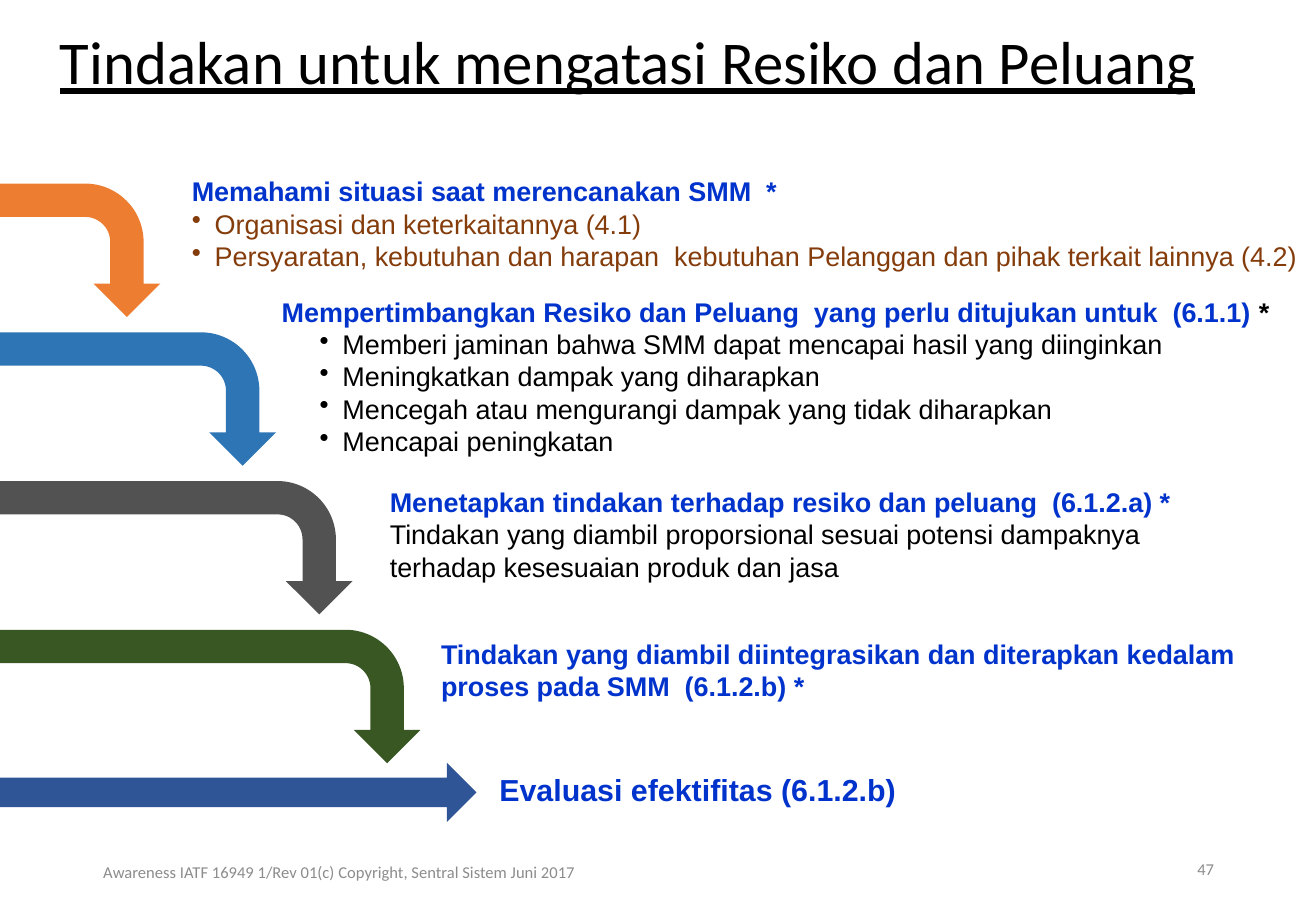
from dataclasses import dataclass

import pptx
import pptx.dml.color
import pptx.enum.shapes
import pptx.enum.text
import pptx.oxml.ns
import pptx.util
from lxml import etree

Cm = pptx.util.Cm
SHAPE = pptx.enum.shapes.MSO_SHAPE
ALIGN = pptx.enum.text.PP_ALIGN
ANCHOR = pptx.enum.text.MSO_ANCHOR
AUTO = pptx.enum.text.MSO_AUTO_SIZE


@dataclass(frozen=True)
class Theme:
    heading: str = "0033CC"
    text: str = "000000"
    brown: str = "843C0B"
    muted: str = "8C8C8C"
    bends: tuple = ("ED7D31", "2E75B6", "525252", "385723")
    final: str = "2F5597"
    title_size: float = 36
    large_size: float = 18
    body_size: float = 16
    footer_size: float = 9.8
    body_font: str = "Arial"
    title_font: str = "Calibri"


THEME = Theme()
BEND_LENGTHS = (3.35, 5.77, 7.37, 8.79)
BEND_TOP, BEND_STEP, BEND_HEIGHT = 3.84, 3.11, 2.79


def add_text(p, text, size=THEME.body_size, color=THEME.text,
             font=THEME.body_font, bold=False, underline=False):
    r = p.add_run()
    r.text = text
    r.font.size = pptx.util.Pt(size)
    r.font.name = font
    r.font.bold = bold
    r.font.underline = underline
    r.font.color.rgb = pptx.dml.color.RGBColor.from_string(color)


def add_heading(p, text, size=THEME.body_size):
    add_text(p, text, size=size, color=THEME.heading, bold=True)


def add_bullet(tf, text, margin, color=THEME.text):
    p = tf.add_paragraph()
    pPr = p._p.get_or_add_pPr()
    pPr.set("marL", str(Cm(margin)))
    pPr.set("indent", str(Cm(-0.48)))
    bullet = etree.SubElement(pPr, pptx.oxml.ns.qn("a:buChar"))
    bullet.set("char", "•")
    add_text(p, text, color=color)


def add_box(s, left, top, width, height, wrap=True, anchor=ANCHOR.TOP):
    sp = s.shapes.add_textbox(Cm(left), Cm(top), Cm(width), Cm(height))
    tf = sp.text_frame
    tf.word_wrap = wrap
    tf.vertical_anchor = anchor
    return tf


def add_footer(s, text, left, top, width, align):
    tf = add_box(s, left, top, width, 1.02, anchor=ANCHOR.MIDDLE)
    p = tf.paragraphs[0]
    p.alignment = align
    add_text(p, text, size=THEME.footer_size, color=THEME.muted, font=THEME.title_font)


def add_arrow(s, kind, left, top, width, height, color):
    sp = s.shapes.add_shape(kind, Cm(left), Cm(top), Cm(width), Cm(height))
    sp.shadow.inherit = False
    sp.fill.solid()
    sp.fill.fore_color.rgb = pptx.dml.color.RGBColor.from_string(color)
    sp.line.fill.background()
    return sp


def add_bend(s, top, length, color):
    shift = (length - BEND_HEIGHT) / 2
    sp = add_arrow(s, SHAPE.BENT_ARROW, shift, top - shift, BEND_HEIGHT, length, color)
    sp.rotation = 90


def set_title(s, text):
    sp = s.shapes.title
    sp.left, sp.top, sp.width, sp.height = Cm(1), Cm(-0.23), Cm(24.77), Cm(3.18)
    tf = sp.text_frame
    tf.auto_size = AUTO.NONE
    tf.vertical_anchor = ANCHOR.MIDDLE
    p = tf.paragraphs[0]
    p.alignment = ALIGN.LEFT
    p.line_spacing = 0.9
    add_text(p, text, size=THEME.title_size, font=THEME.title_font, underline=True)


def add_steps(s):
    tf = add_box(s, 3.76, 3.53, 24.99, 2.31)
    add_heading(tf.paragraphs[0], "Memahami situasi saat merencanakan SMM  *")
    for text in (
        "Organisasi dan keterkaitannya (4.1)",
        "Persyaratan, kebutuhan dan harapan  kebutuhan Pelanggan dan pihak terkait lainnya (4.2)",
    ):
        add_bullet(tf, text, 0.48, color=THEME.brown)

    tf = add_box(s, 5.64, 6.05, 21.44, 3.68, wrap=False)
    p = tf.paragraphs[0]
    add_heading(p, "Mempertimbangkan Resiko dan Peluang  yang perlu ditujukan untuk  (6.1.1) ")
    add_text(p, "*", bold=True)
    for text in (
        "Memberi jaminan bahwa SMM dapat mencapai hasil yang diinginkan",
        "Meningkatkan dampak yang diharapkan",
        "Mencegah atau mengurangi dampak yang tidak diharapkan",
        "Mencapai peningkatan",
    ):
        add_bullet(tf, text, 1.27)

    tf = add_box(s, 7.9, 10.03, 19.05, 2.39)
    add_heading(tf.paragraphs[0], "Menetapkan tindakan terhadap resiko dan peluang  (6.1.2.a) *")
    for text in (
        "Tindakan yang diambil proporsional sesuai potensi dampaknya",
        "terhadap kesesuaian produk dan jasa",
    ):
        add_text(tf.add_paragraph(), text)

    tf = add_box(s, 8.97, 13.21, 18.97, 1.63)
    add_heading(
        tf.paragraphs[0],
        "Tindakan yang diambil diintegrasikan dan diterapkan kedalam proses pada SMM  (6.1.2.b) *",
    )

    tf = add_box(s, 10.19, 16, 8.89, 1.02, wrap=False)
    add_heading(tf.paragraphs[0], "Evaluasi efektifitas (6.1.2.b)", size=THEME.large_size)


def main():
    prs = pptx.Presentation()
    prs.slide_width, prs.slide_height = Cm(27.51), Cm(19.05)
    s = prs.slides.add_slide(prs.slide_layouts[5])
    set_title(s, "Tindakan untuk mengatasi Resiko dan Peluang")
    add_steps(s)
    for i, (length, color) in enumerate(zip(BEND_LENGTHS, THEME.bends)):
        add_bend(s, BEND_TOP + i * BEND_STEP, length, color)
    add_arrow(s, SHAPE.RIGHT_ARROW, 0, 15.95, 9.96, 1.24, THEME.final)
    add_footer(s, "47", 19.43, 17.65, 6.2, ALIGN.RIGHT)
    add_footer(s, "Awareness IATF 16949 1/Rev 01(c) Copyright, Sentral Sistem Juni 2017",
               0.84, 17.73, 12.5, ALIGN.CENTER)
    prs.save("out.pptx")


if __name__ == "__main__":
    main()
